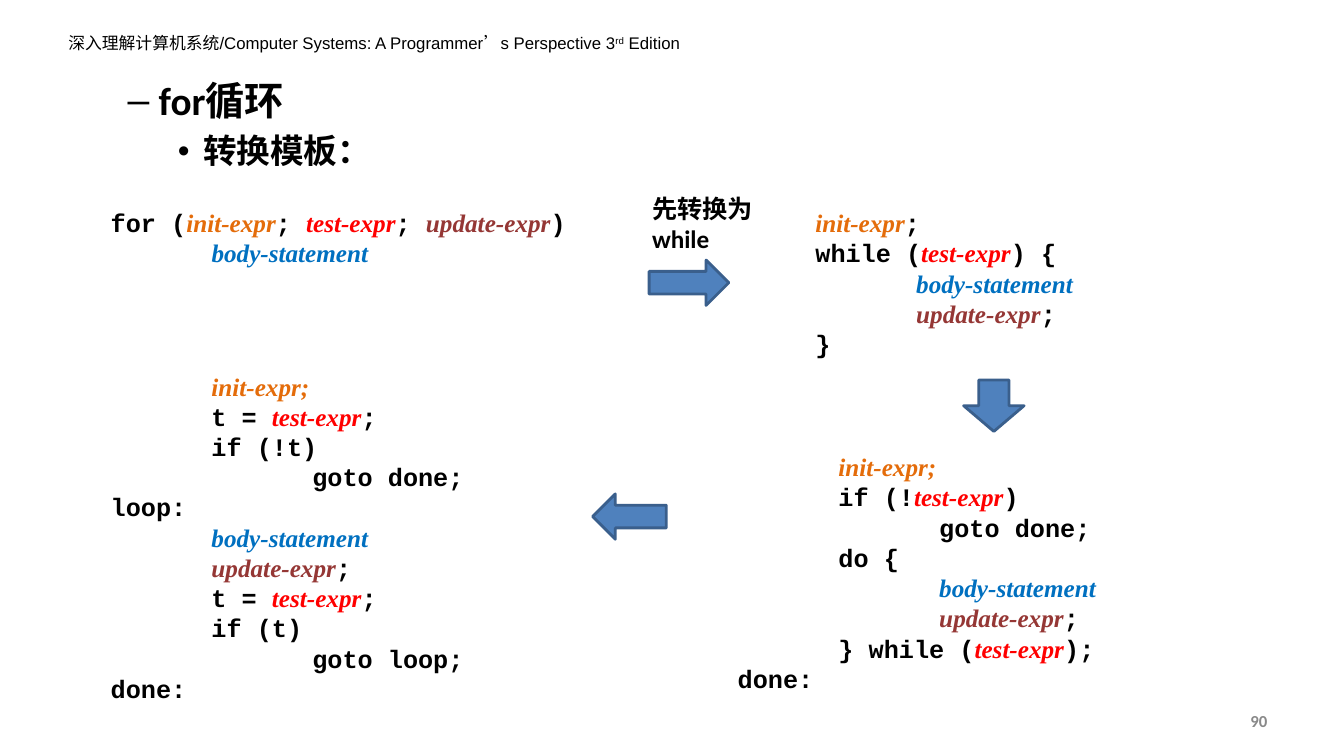
from dataclasses import dataclass, field

from lxml import etree
from pptx import Presentation
from pptx.dml.color import RGBColor
from pptx.enum.shapes import MSO_SHAPE
from pptx.enum.text import MSO_ANCHOR, PP_ALIGN
from pptx.oxml.ns import qn
from pptx.util import Emu, Inches, Pt

RIGHT, DOWN, LEFT = MSO_SHAPE.RIGHT_ARROW, MSO_SHAPE.DOWN_ARROW, MSO_SHAPE.LEFT_ARROW
TOP, MIDDLE = MSO_ANCHOR.TOP, MSO_ANCHOR.MIDDLE
ALIGN_LEFT, ALIGN_RIGHT = PP_ALIGN.LEFT, PP_ALIGN.RIGHT
SLIDE_W, SLIDE_H = Inches(13.333), Inches(7.5)
TAB_STOPS = (Inches(1), Inches(2))


def style(name: str, size: float, color: str, bold: bool = False, italic: bool = False) -> dict:
    return {"name": name, "size": Pt(size), "color": color, "bold": bold, "italic": italic}


def variable(color: str) -> dict:
    return style("Times New Roman", 18, color, True, True)


@dataclass(frozen=True)
class Theme:
    arrow_fill: str = "4F81BD"
    arrow_line: str = "3A5F8C"
    header: dict = field(default_factory=lambda: style("Arial", 12, "000000"))
    page: dict = field(default_factory=lambda: style("Calibri", 12, "898989", True))
    topic: dict = field(default_factory=lambda: style("Calibri", 28, "000000", True))
    subtopic: dict = field(default_factory=lambda: style("Calibri", 24, "000000", True))
    label: dict = field(default_factory=lambda: style("Calibri", 18, "000000", True))
    code: dict = field(default_factory=lambda: style("Courier New", 18, "000000", True))
    variables: dict = field(default_factory=lambda: {
        "init-expr": variable("E46C0A"),
        "test-expr": variable("FF0000"),
        "update-expr": variable("953735"),
        "body-statement": variable("0070C0"),
    })


@dataclass(frozen=True)
class Box:
    """Place and size in percent of the slide's width and height."""
    x: float
    y: float
    w: float
    h: float

    def emu(self) -> list[Emu]:
        sides = (SLIDE_W, SLIDE_H, SLIDE_W, SLIDE_H)
        return [Emu(round(v * side / 100)) for v, side in zip((self.x, self.y, self.w, self.h), sides)]


@dataclass(frozen=True)
class Code:
    box: Box
    lines: tuple[str, ...]  # bars enclose the template variables


@dataclass(frozen=True)
class Arrow:
    kind: MSO_SHAPE
    box: Box


@dataclass(frozen=True)
class Bullet:
    text: str
    mark: str
    margin: float
    hang: float
    before: float
    fmt: dict


THEME = Theme()

HEADER = Box(4.35, 3.73, 47.1, 4)
OUTLINE = Box(5, 9.47, 90, 15)
LABEL = Box(47.78, 24.93, 11.93, 9.47)
PAGE = Box(71.7, 92.67, 23.33, 5.33)

BULLETS = (
    Bullet("for循环", "–", 0.81, 0.31, 0, THEME.topic),
    Bullet("转换模板：", "•", 1.25, 0.25, 4.8, THEME.subtopic),
)

CODES = (
    Code(Box(7.5, 26.8, 50, 9.47), (
        "for (|init-expr|; |test-expr|; |update-expr|)",
        "\t|body-statement|",
    )),
    Code(Box(59.93, 26.8, 30.6, 21.6), (
        "|init-expr|;",
        "while (|test-expr|) {",
        "\t|body-statement|",
        "\t|update-expr|;",
        "}",
    )),
    Code(Box(54.15, 59.07, 30, 33.6), (
        "\t|init-expr;|",
        "\tif (!|test-expr|)",
        "\t\tgoto done;",
        "\tdo {",
        "\t\t|body-statement|",
        "\t\t|update-expr|;",
        "\t} while (|test-expr|);",
        "done:",
    )),
    Code(Box(7.5, 48.4, 36.9, 45.73), (
        "\t|init-expr;|",
        "\tt = |test-expr|;",
        "\tif (!t)",
        "\t\tgoto done;",
        "loop:",
        "\t|body-statement|",
        "\t|update-expr|;",
        "\tt = |test-expr|;",
        "\tif (t)",
        "\t\tgoto loop;",
        "done:",
    )),
)

ARROWS = (
    Arrow(RIGHT, Box(48.3, 34.4, 5.93, 6)),
    Arrow(DOWN, Box(71.7, 50.27, 4.5, 6.8)),
    Arrow(LEFT, Box(44.1, 65.33, 5.48, 6)),
)


def add_run(p, text: str, fmt: dict):
    r = p.add_run()
    r.text = text
    for key, value in fmt.items():
        if key == "color":
            r.font.color.rgb = RGBColor.from_string(value)
        else:
            setattr(r.font, key, value)
    return r


def add_frame(s, box: Box, anchor=TOP):
    tf = s.shapes.add_textbox(*box.emu()).text_frame
    tf.word_wrap = True
    tf.vertical_anchor = anchor
    return tf


def add_line(s, box: Box, text: str, fmt: dict, align=ALIGN_LEFT, anchor=TOP):
    p = add_frame(s, box, anchor).paragraphs[0]
    p.alignment = align
    add_run(p, text, fmt)
    return p


def paragraph(tf, index: int):
    return tf.add_paragraph() if index else tf.paragraphs[0]


def add_bullets(s, box: Box, bullets: tuple[Bullet, ...]) -> None:
    tf = add_frame(s, box)
    for i, b in enumerate(bullets):
        p = paragraph(tf, i)
        p.space_before = Pt(b.before)
        pPr = p._p.get_or_add_pPr()
        pPr.set("marL", str(Inches(b.margin)))
        pPr.set("indent", str(-Inches(b.hang)))
        etree.SubElement(pPr, qn("a:buFont")).set("typeface", "Arial")
        etree.SubElement(pPr, qn("a:buChar")).set("char", b.mark)
        add_run(p, b.text, b.fmt)


def add_tab_stops(p) -> None:
    tabs = etree.SubElement(p._p.get_or_add_pPr(), qn("a:tabLst"))
    for stop in TAB_STOPS:
        etree.SubElement(tabs, qn("a:tab"), pos=str(stop), algn="l")


def add_code(s, code: Code) -> None:
    tf = add_frame(s, code.box)
    for i, line in enumerate(code.lines):
        p = paragraph(tf, i)
        add_tab_stops(p)
        for part in filter(None, line.split("|")):
            add_run(p, part, THEME.variables.get(part.rstrip(";"), THEME.code))


def add_arrow(s, arrow: Arrow) -> None:
    sp = s.shapes.add_shape(arrow.kind, *arrow.box.emu())
    sp.shadow.inherit = False
    sp.fill.solid()
    sp.fill.fore_color.rgb = RGBColor.from_string(THEME.arrow_fill)
    sp.line.color.rgb = RGBColor.from_string(THEME.arrow_line)
    sp.line.width = Pt(2)


def main() -> None:
    prs = Presentation()
    prs.slide_width, prs.slide_height = SLIDE_W, SLIDE_H
    s = prs.slides.add_slide(prs.slide_layouts[6])

    # Running header and page number
    p = add_line(s, HEADER, "深入理解计算机系统/Computer Systems: A Programmer’s Perspective 3", THEME.header)
    add_run(p, "rd", THEME.header).font._element.set("baseline", "30000")
    add_run(p, " Edition", THEME.header)
    add_line(s, PAGE, "90", THEME.page, ALIGN_RIGHT, MIDDLE)

    # Outline
    add_bullets(s, OUTLINE, BULLETS)

    # Code templates and the conversion steps between them
    for code in CODES:
        add_code(s, code)
    add_line(s, LABEL, "先转换为while", THEME.label)
    for arrow in ARROWS:
        add_arrow(s, arrow)

    prs.save("out.pptx")


if __name__ == "__main__":
    main()
